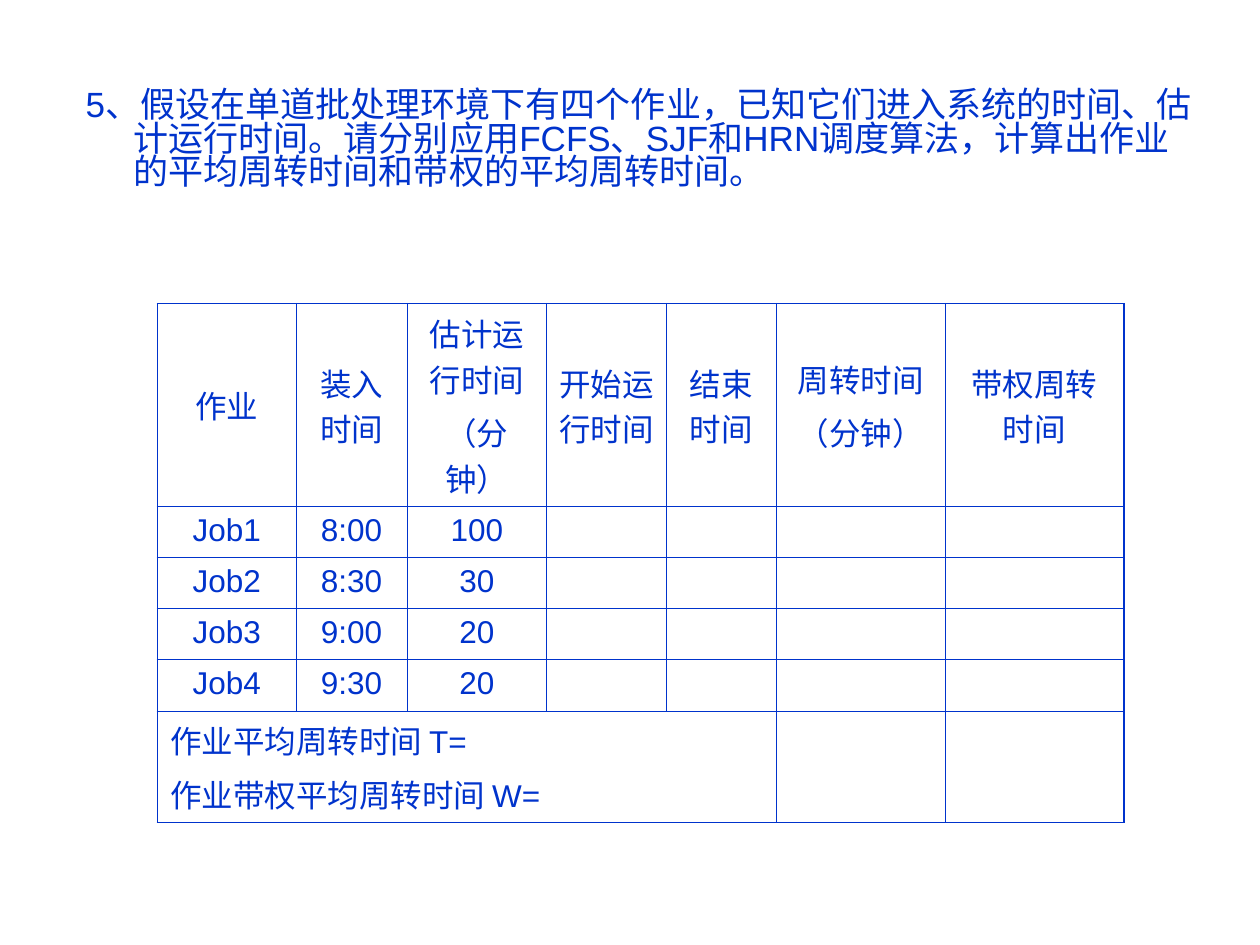
import pptx
import pptx.util
import pptx.dml.color
import pptx.enum.text
import pptx.oxml
import pptx.oxml.ns
from lxml import etree

Inches = pptx.util.Inches
Pt = pptx.util.Pt
BLUE = pptx.dml.color.RGBColor(0x00, 0x33, 0xCC)
FONT = "Arial"
THIN, THICK = 0.45, 1.08

TASK = (
    "5、假设在单道批处理环境下有四个作业，已知它们进入系统的时间、估计运行时间。"
    "请分别应用FCFS、SJF和HRN调度算法，计算出作业的平均周转时间和带权的平均周转时间。"
)
HEADS = ["作业", "装入时间", "估计运行时间\n（分钟）", "开始运行时间",
         "结束时间", "周转时间\n（分钟）", "带权周转时间"]
JOBS = [
    ("Job1", "8:00", "100"),
    ("Job2", "8:30", "30"),
    ("Job3", "9:00", "20"),
    ("Job4", "9:30", "20"),
]
TOTAL = "作业平均周转时间 T=\n作业带权平均周转时间 W="
WIDTHS = [1.1, 0.88, 1.11, 0.95, 0.87, 1.34, 1.42]
HEIGHTS = [1.36] + [0.4] * len(JOBS) + [0.76]
SPAN = 5


def style(font, size):
    font.name = FONT
    font.size = Pt(size)
    font.color.rgb = BLUE


def write(frame, text, size, align, before):
    for i, line in enumerate(text.split("\n")):
        para = frame.paragraphs[0] if i == 0 else frame.add_paragraph()
        para.alignment = align
        para.space_before = Pt(before)
        if line:
            run = para.add_run()
            run.text = line
            style(run.font, size)
        else:
            para.font.size = Pt(size)


def edge(cell, side, width):
    props = cell._tc.get_or_add_tcPr()
    ns = pptx.oxml.ns.qn
    line = etree.SubElement(props, ns("a:ln" + side), w=str(Pt(width)))
    fill = etree.SubElement(line, ns("a:solidFill"))
    etree.SubElement(fill, ns("a:srgbClr"), val=str(BLUE))


def add_task(slide):
    body = slide.placeholders[1]
    body.left, body.top = Inches(0.58), Inches(0.67)
    body.width, body.height = Inches(9), Inches(1)
    frame = body.text_frame
    frame.auto_size = pptx.enum.text.MSO_AUTO_SIZE.NONE
    frame.vertical_anchor = pptx.enum.text.MSO_ANCHOR.TOP
    write(frame, TASK, 20, pptx.enum.text.PP_ALIGN.LEFT, 5)
    para = frame.paragraphs[0]
    para.line_spacing = 0.8
    props = para._p.get_or_add_pPr()
    props.set("marL", str(Inches(0.38)))
    props.set("indent", str(-Inches(0.38)))
    etree.SubElement(props, pptx.oxml.ns.qn("a:buNone"))


def add_grid(slide):
    rows = [HEADS] + [list(job) for job in JOBS] + [[TOTAL]]
    last, end = len(rows) - 1, len(WIDTHS) - 1
    grid = slide.shapes.add_table(
        len(rows), len(WIDTHS), Inches(1.25), Inches(2.41),
        Inches(sum(WIDTHS)), Inches(sum(HEIGHTS))).table
    grid.first_row = grid.horz_banding = False
    for col, width in zip(grid.columns, WIDTHS):
        col.width = Inches(width)
    for row, height in zip(grid.rows, HEIGHTS):
        row.height = Inches(height)
    grid.cell(last, 0).merge(grid.cell(last, SPAN - 1))
    align = pptx.enum.text.PP_ALIGN
    for r, texts in enumerate(rows):
        for c in range(len(WIDTHS)):
            cell = grid.cell(r, c)
            outer = {"L": c == 0, "R": c == end, "T": r == 0, "B": r == last}
            for side, thick in outer.items():
                edge(cell, side, THICK if thick else THIN)
            cell.fill.background()
            if r == 0:
                cell.vertical_anchor = pptx.enum.text.MSO_ANCHOR.MIDDLE
            text = texts[c] if c < len(texts) else ""
            write(cell.text_frame, text, 18,
                  align.LEFT if r == last else align.CENTER, 4.5)


def main():
    deck = pptx.Presentation()
    deck.slide_width, deck.slide_height = Inches(10), Inches(7.5)
    slide = deck.slides.add_slide(deck.slide_layouts[1])
    title = slide.shapes.title.element
    title.getparent().remove(title)
    add_task(slide)
    add_grid(slide)
    deck.save("out.pptx")


if __name__ == "__main__":
    main()
